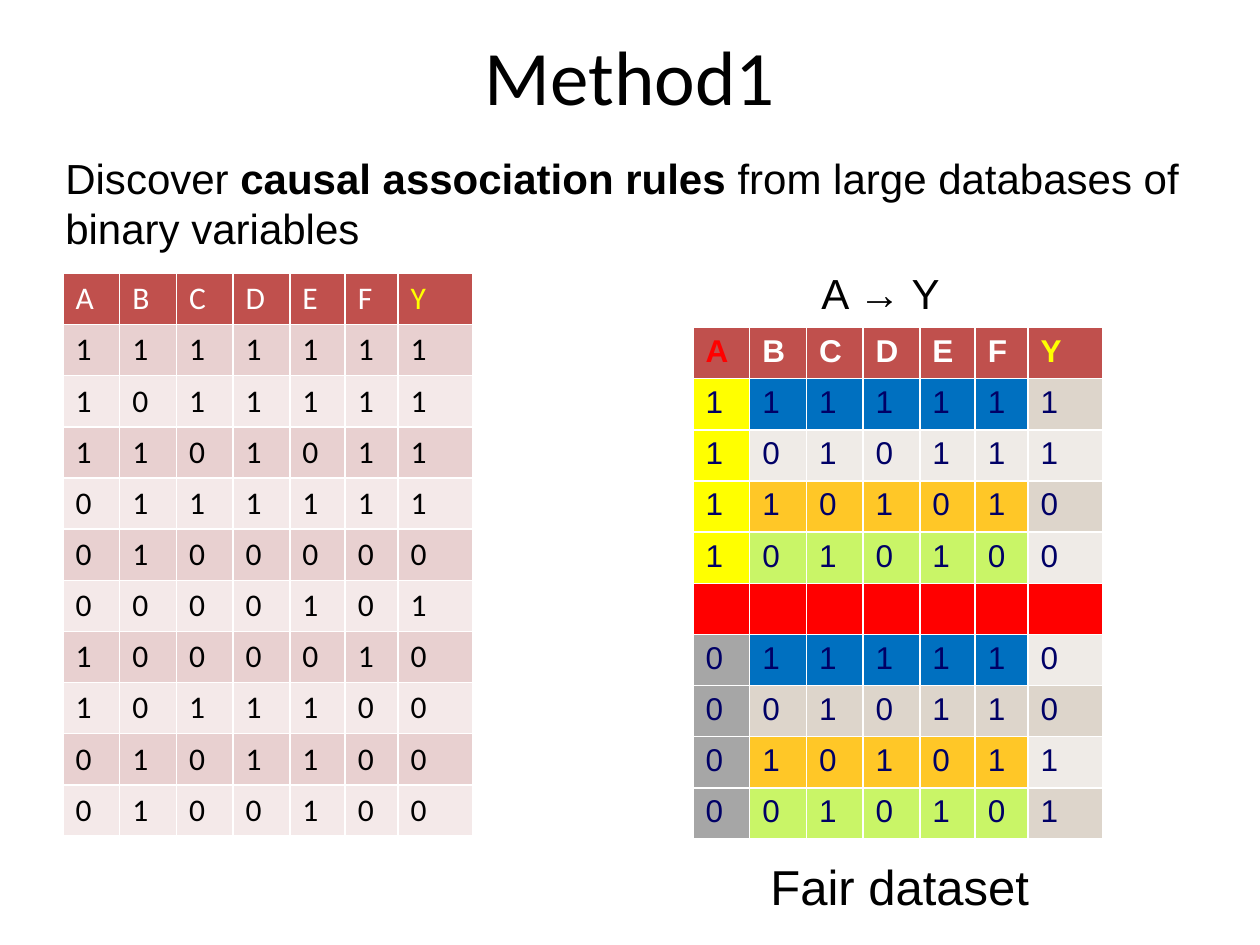
from pptx import Presentation
from pptx.dml.color import RGBColor
from pptx.enum.text import MSO_ANCHOR, MSO_AUTO_SIZE, PP_ALIGN
from pptx.util import Inches, Pt

LEFT, CENTER = PP_ALIGN.LEFT, PP_ALIGN.CENTER
MIDDLE = MSO_ANCHOR.MIDDLE
GROW = MSO_AUTO_SIZE.SHAPE_TO_FIT_TEXT

COLORS = {
    "black": "000000", "white": "FFFFFF", "navy": "000066",
    "header": "C0504D", "yellow": "FFFF00", "red": "FF0000",
    "rose": "E8D0D0", "pale rose": "F4E9E9",
    "sand": "DDD5CB", "pale sand": "EFEBE7", "gray": "A6A6A6",
    "blue": "0070C0", "orange": "FFC727", "green": "C9F567",
}
RGB = {name: RGBColor.from_string(value) for name, value in COLORS.items()}

HEADINGS = "ABCDEFY"
COLUMN_WIDTHS = [0.45, 0.45, 0.45, 0.45, 0.44, 0.42, 0.59]
ROW_HEIGHT = 4.06 / 10

deck = Presentation()
deck.slide_width, deck.slide_height = Inches(10), Inches(7.5)
page = deck.slides.add_slide(deck.slide_layouts[5])


def add_text(left, top, width, height, spans, size, align=LEFT):
    """Add a text box from (text, bold) spans."""
    box = page.shapes.add_textbox(
        Inches(left), Inches(top), Inches(width), Inches(height))
    frame = box.text_frame
    frame.word_wrap, frame.auto_size = True, GROW
    para = frame.paragraphs[0]
    para.alignment = align
    para.font.name, para.font.size = "Arial", Pt(size)
    para.font.color.rgb = RGB["black"]
    for text, bold in spans:
        span = para.add_run()
        span.text = text
        if bold:
            span.font.bold = True


def add_grid(left, top, records, fills, font, ink, heading_inks, heading_bold):
    """Add a table with a heading row; fills holds color names per record."""
    rows = [HEADINGS, *records]
    grid = page.shapes.add_table(
        len(rows), len(HEADINGS), Inches(left), Inches(top),
        Inches(sum(COLUMN_WIDTHS)), Inches(ROW_HEIGHT * len(rows))).table
    for column, width in zip(grid.columns, COLUMN_WIDTHS):
        column.width = Inches(width)
    for r, (row, row_fills) in enumerate(zip(rows, [["header"] * 7, *fills])):
        grid.rows[r].height = Inches(ROW_HEIGHT)
        for c, fill in enumerate(row_fills):
            cell = grid.cell(r, c)
            cell.fill.solid()
            cell.fill.fore_color.rgb = RGB[fill]
            para = cell.text_frame.paragraphs[0]
            para.font.name, para.font.size = font, Pt(18)
            para.font.bold = heading_bold and r == 0
            color = heading_inks.get(row[c:c + 1], "white") if r == 0 else ink
            para.font.color.rgb = RGB[color]
            if row:
                para.add_run().text = row[c]


# Title
title = page.shapes.title
title.left, title.top = Inches(0.5), Inches(0.03)
title.width, title.height = Inches(9), Inches(1.13)
title.text_frame.text = "Method1"
title.text_frame.vertical_anchor = MIDDLE
para = title.text_frame.paragraphs[0]
para.alignment = CENTER
para.font.name, para.font.size = "Calibri", Pt(44)
para.font.color.rgb = RGB["black"]

# Full dataset, banded
dataset = ["1111111", "1011111", "1101011", "0111111", "0100000",
           "0000101", "1000010", "1011100", "0101100", "0100100"]
bands = [[("rose", "pale rose")[i % 2]] * 7 for i in range(len(dataset))]
add_grid(0.5, 2.17, dataset, bands, "Calibri", "black", {"Y": "yellow"}, False)

# Captions
add_text(0.42, 1.16, 9.58, 0.91,
         [("Discover ", False), ("causal association rules ", True),
          ("from large databases of binary variables", False)], 24)
add_text(6.42, 2.07, 1.83, 0.51, [("A → Y", False)], 24)

# Fair dataset: matched B to F patterns share a color, an empty row divides
fair = ["1111111", "1010111", "1101010", "1010100", "",
        "0111110", "0010110", "0101011", "0010101"]
matches = ["blue", None, "orange", "green"]
fair_fills = []
for i, record in enumerate(fair):
    if not record:
        fair_fills.append(["red"] * 7)
        continue
    band = ("sand", "pale sand")[i % 2]
    group = "yellow" if record[0] == "1" else "gray"
    fair_fills.append([group] + [matches[i % 5] or band] * 5 + [band])
add_grid(5.5, 2.6, fair, fair_fills, "Arial", "navy",
         {"A": "red", "Y": "yellow"}, True)
add_text(5.43, 6.75, 3.42, 0.57, [("Fair dataset", False)], 28, CENTER)

deck.save("out.pptx")
